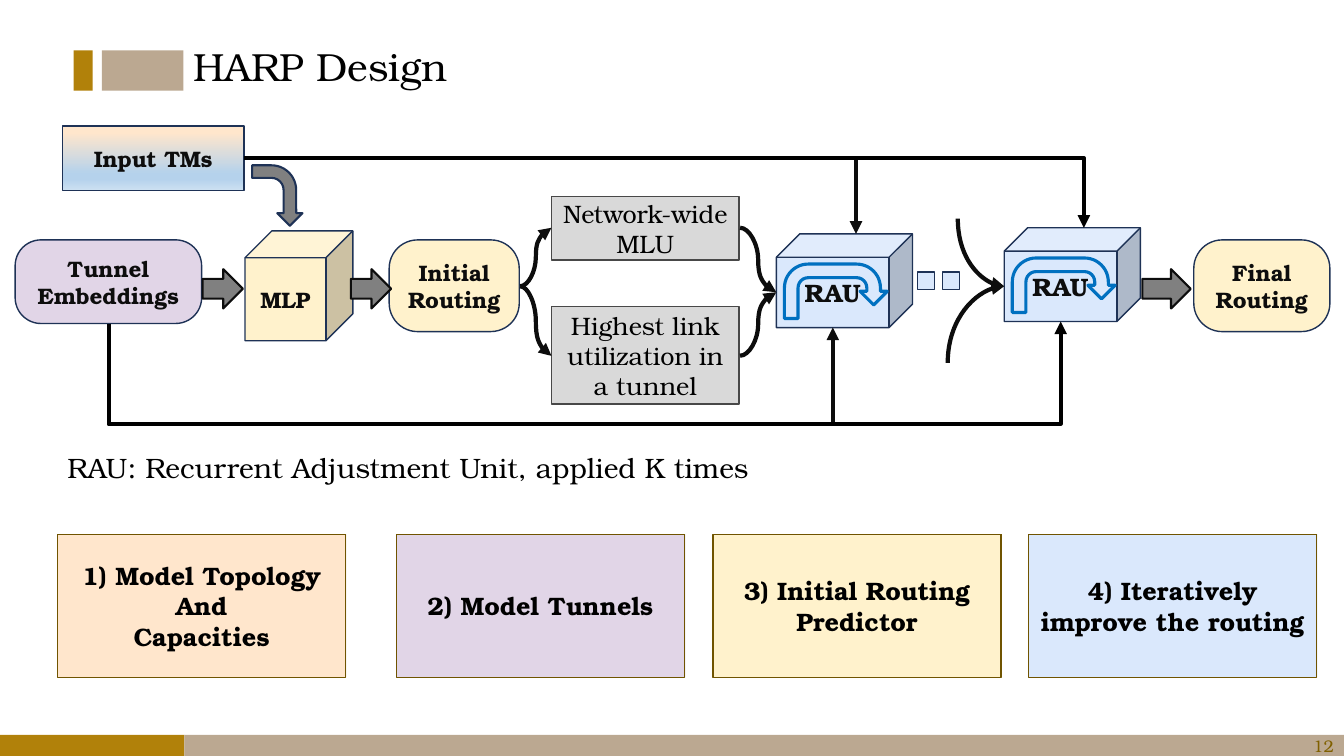
import math
import pptx
import pptx.util
import pptx.dml.color
import pptx.enum.shapes
import pptx.enum.text
import pptx.oxml.ns
from lxml import etree

Inches = pptx.util.Inches
Pt = pptx.util.Pt
RGB = pptx.dml.color.RGBColor.from_string
MSO = pptx.enum.shapes.MSO_SHAPE
ALIGN = pptx.enum.text.PP_ALIGN
ANCHOR = pptx.enum.text.MSO_ANCHOR
qn = pptx.oxml.ns.qn


class Theme:
    font = "TeX Gyre Bonum"
    title, note, card, node, number = 28, 20, 18, 16, 12
    black, ink, olive = "000000", "0D0D0D", "806000"
    gold, tan, card_line = "B1810A", "BBA891", "705400"
    peach, lilac, cream, sky = "FFE6CC", "E1D5E7", "FFF2CC", "DAE8FC"
    navy, blue = "1E3256", "0070C0"
    arrow, panel, panel_line = "808080", "D9D9D9", "484848"
    traffic = [(10, "FFE6CC"), (74, "B5D2EC"), (83, "B5D2EC"), (100, "CEE1F2")]


prs = pptx.Presentation()
prs.slide_width, prs.slide_height = Inches(13.33), Inches(7.5)
s = prs.slides.add_slide(prs.slide_layouts[5])


def box(kind, at, fill, line=None, width=1, text="", size=Theme.node,
        color=Theme.ink, bold=True, adj=None, parent=s.shapes):
    sp = parent.add_shape(kind, *map(Inches, at))
    sp.shadow.inherit = False
    sp.fill.solid()
    sp.fill.fore_color.rgb = RGB(fill)
    if line:
        sp.line.color.rgb = RGB(line)
        sp.line.width = Pt(width)
    else:
        sp.line.fill.background()
    for i, value in enumerate(adj or []):
        sp.adjustments[i] = value
    if text:
        tf = sp.text_frame
        tf.word_wrap = True
        tf.vertical_anchor = ANCHOR.MIDDLE
        tf.text = text
        for p in tf.paragraphs:
            p.alignment = ALIGN.CENTER
            p.font.name, p.font.size, p.font.bold = Theme.font, Pt(size), bold
            p.font.color.rgb = RGB(color)
    return sp


def link(preset, start, end, rot=0, adj=None, color=Theme.ink):
    cx, cy = (start[0] + end[0]) / 2, (start[1] + end[1]) / 2
    dx, dy = start[0] - cx, start[1] - cy
    cos, sin = math.cos(math.radians(rot)), math.sin(math.radians(rot))
    bx, by = dx * cos + dy * sin, dy * cos - dx * sin
    frame = (cx + bx, cy + by, cx - bx, cy - by)
    cn = s.shapes.add_connector(pptx.enum.shapes.MSO_CONNECTOR.ELBOW, *map(Inches, frame))
    cn.line.color.rgb = RGB(color)
    cn.line.width = Pt(3)
    etree.SubElement(cn.line._get_or_add_ln(), qn("a:tailEnd"), type="triangle")
    pr = cn.element.spPr
    etree.SubElement(pr, qn("a:effectLst"))
    if rot:
        pr.find(qn("a:xfrm")).set("rot", str(rot * 60000))
    geom = pr.find(qn("a:prstGeom"))
    geom.set("prst", preset)
    if adj is not None:
        guides = geom.find(qn("a:avLst"))
        etree.SubElement(guides, qn("a:gd"), name="adj1", fmla=f"val {round(adj * 100000)}")


for at, fill in [((0, 7.29, 1.83, 0.22), Theme.gold), ((1.83, 7.29, 11.5, 0.22), Theme.tan),
                 ((0.73, 0.5, 0.19, 0.4), Theme.gold), ((1.01, 0.5, 0.81, 0.4), Theme.tan)]:
    box(MSO.RECTANGLE, at, fill)

labels = [
    (s.shapes.title, (1.82, 0.37, 4.31, 0.57), "HARP Design", Theme.title, Theme.black, ALIGN.LEFT, ANCHOR.TOP),
    (None, (0.57, 4.42, 7.21, 0.44), "RAU: Recurrent Adjustment Unit, applied K times",
     Theme.note, Theme.black, ALIGN.LEFT, ANCHOR.TOP),
    (None, (10.33, 7.2, 3, 0.4), "12", Theme.number, Theme.olive, ALIGN.RIGHT, ANCHOR.MIDDLE),
]
for sp, at, text, size, color, align, anchor in labels:
    sp = sp or s.shapes.add_textbox(*map(Inches, at))
    sp.left, sp.top, sp.width, sp.height = map(Inches, at)
    tf = sp.text_frame
    tf.word_wrap = True
    tf.auto_size = pptx.enum.text.MSO_AUTO_SIZE.NONE
    tf.vertical_anchor = anchor
    tf.text = text
    p = tf.paragraphs[0]
    p.alignment = align
    p.font.name, p.font.size = Theme.font, Pt(size)
    p.font.color.rgb = RGB(color)

cards = [
    (0.57, Theme.peach, "1) Model Topology\nAnd\nCapacities"),
    (3.93, Theme.lilac, "2) Model Tunnels"),
    (7.07, Theme.cream, "3) Initial Routing Predictor"),
    (10.2, Theme.sky, "4) Iteratively improve the routing"),
]
for x, fill, text in cards:
    box(MSO.CUBE, (x, 5.3, 2.86, 1.42), fill, Theme.card_line,
        text=text, size=Theme.card, color=Theme.black, adj=[0])

traffic = box(MSO.RECTANGLE, (0.62, 1.25, 1.8, 0.64), Theme.peach, Theme.navy, text="Input TMs")
traffic.fill.gradient()
traffic.fill.gradient_angle = 270
stops = traffic.element.spPr.find(qn("a:gradFill")).find(qn("a:gsLst"))
for gs in list(stops):
    stops.remove(gs)
for pos, color in Theme.traffic:
    gs = etree.SubElement(stops, qn("a:gs"), pos=str(pos * 1000))
    etree.SubElement(gs, qn("a:srgbClr"), val=color)

for at, fill, text in [((0.15, 2.38, 1.85, 0.83), Theme.lilac, "Tunnel Embeddings"),
                       ((3.86, 2.38, 1.29, 0.91), Theme.cream, "Initial Routing"),
                       ((11.84, 2.38, 1.35, 0.91), Theme.cream, "Final\nRouting")]:
    box(MSO.ROUNDED_RECTANGLE, at, fill, Theme.navy, text=text, adj=[0.31])
box(MSO.CUBE, (2.43, 2.29, 1.07, 1.09), Theme.cream, Theme.navy, text="MLP")

for x, width in [(2.01, 0.4), (3.48, 0.4), (11.33, 0.48)]:
    box(MSO.RIGHT_ARROW, (x, 2.67, width, 0.39), Theme.arrow, Theme.ink, 1.5)
turn = box(MSO.BENT_ARROW, (2.45, 1.69, 0.6, 0.5), Theme.arrow, Theme.navy, 1.5,
           adj=[0.25, 0.25, 0.25, 0.49])
turn.rotation = 90

for x, y in [(7.7, 2.32), (9.96, 2.26)]:
    rau = s.shapes.add_group_shape().shapes
    box(MSO.CUBE, (x, y, 1.35, 0.93), Theme.sky, Theme.navy,
        text="RAU", size=Theme.card, parent=rau)
    box(MSO.U_TURN_ARROW, (x + 0.08, y + 0.3, 1.02, 0.54), Theme.sky, Theme.blue, 2.25, parent=rau)
for x in (9.1, 9.35):
    box(MSO.RECTANGLE, (x, 2.7, 0.17, 0.17), Theme.sky, Theme.navy)

for y, height, text in [(1.95, 0.63, "Network-wide MLU"),
                        (3.04, 0.97, "Highest link utilization in a tunnel")]:
    box(MSO.RECTANGLE, (5.47, y, 1.86, height), Theme.panel, Theme.panel_line,
        text=text, size=Theme.card, color=Theme.black, bold=False)

for y in (2.26, 3.53):
    link("curvedConnector3", (5.16, 2.84), (5.47, y))
    link("curvedConnector3", (7.34, y), (7.7, 2.9))
link("curvedConnector2", (9.5, 2.17), (9.96, 2.84), rot=270)
link("curvedConnector2", (9.4, 3.6), (9.96, 2.84), rot=90)
link("bentConnector2", (2.42, 1.57), (8.49, 2.32))
link("bentConnector2", (2.42, 1.57), (10.75, 2.26), color=Theme.black)
link("bentConnector3", (1.08, 3.21), (8.26, 3.25), rot=270, adj=0.99 / 0.04)
link("bentConnector3", (1.08, 3.21), (10.52, 3.19), rot=90, adj=-0.99 / 0.02, color=Theme.black)

prs.save("out.pptx")
